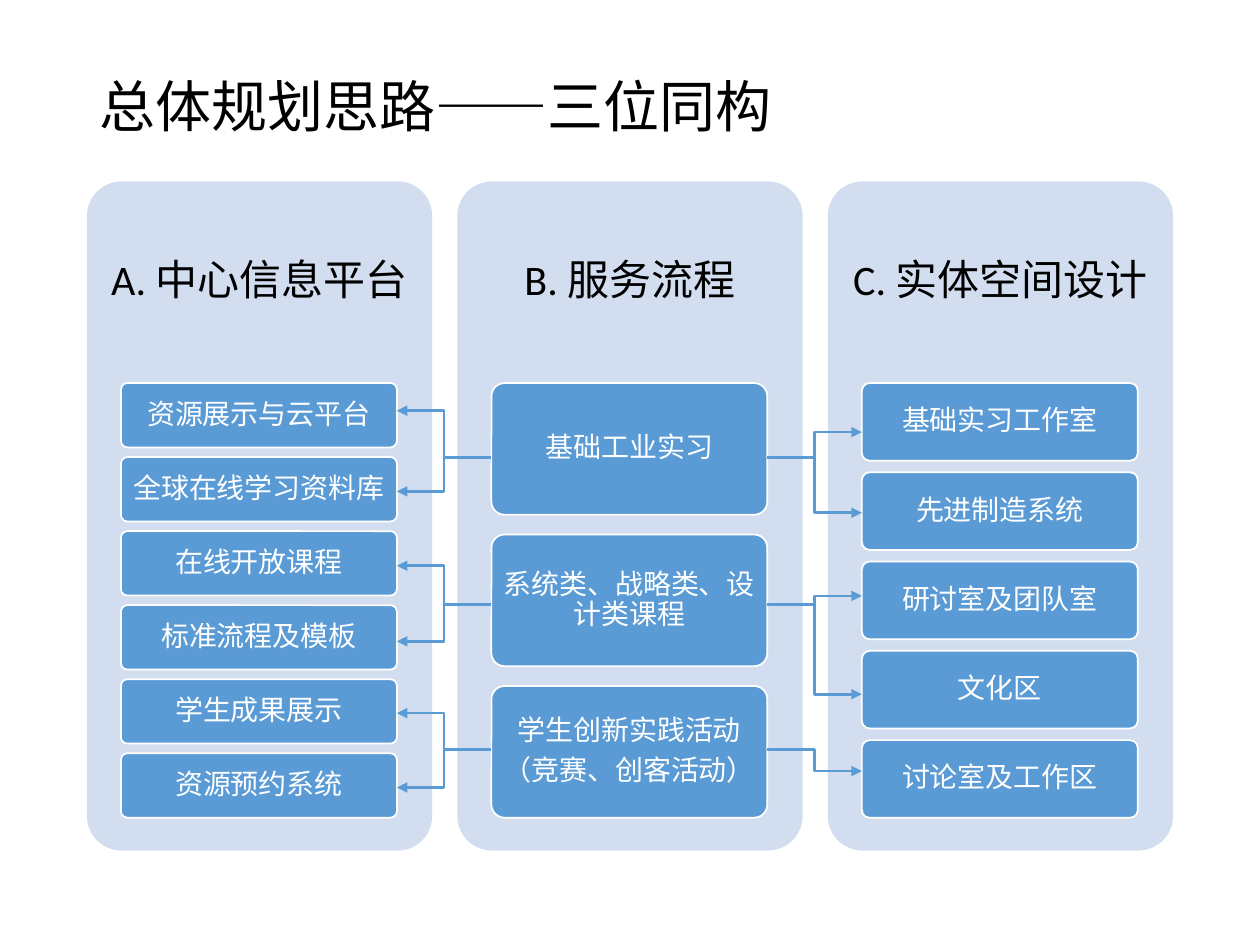
from dataclasses import dataclass

from lxml.etree import SubElement
from pptx import Presentation
from pptx.dml.color import RGBColor
from pptx.enum.lang import MSO_LANGUAGE_ID as LANG
from pptx.enum.shapes import MSO_CONNECTOR as CONN, MSO_SHAPE as SHAPE
from pptx.enum.text import MSO_ANCHOR as ANCHOR, PP_ALIGN as ALIGN
from pptx.oxml.ns import qn
from pptx.util import Inches, Pt


@dataclass(frozen=True)
class Theme:
    font: str = "Calibri"
    ink: RGBColor = RGBColor(0x00, 0x00, 0x00)
    white: RGBColor = RGBColor(0xFF, 0xFF, 0xFF)
    panel: RGBColor = RGBColor(0xD2, 0xDE, 0xEF)
    accent: RGBColor = RGBColor(0x5B, 0x9B, 0xD5)
    title: int = 32
    heading: int = 24
    body: int = 16


class Deck:
    def __init__(self, slide, theme):
        self.s = slide
        self.theme = theme

    def set_text(self, sp, lines, size, color, align, margins, space_after=0.0):
        """Give a shape one paragraph per line; space_after is a share of the type size."""
        tf = sp.text_frame
        tf.word_wrap = True
        tf.vertical_anchor = ANCHOR.MIDDLE
        tf.margin_left = tf.margin_right = Inches(margins[0])
        tf.margin_top = tf.margin_bottom = Inches(margins[1])
        for i, line in enumerate(lines):
            p = tf.add_paragraph() if i else tf.paragraphs[0]
            p.alignment = align
            p.line_spacing = 0.9
            p.space_after = Pt(size * space_after)
            r = p.add_run()
            r.text = line
            r.font.name = self.theme.font
            r.font.size = Pt(size)
            r.font.color.rgb = color
            r.font.language_id = LANG.SIMPLIFIED_CHINESE

    def round_rect(self, x, y, w, h, fill):
        sp = self.s.shapes.add_shape(
            SHAPE.ROUNDED_RECTANGLE, Inches(x), Inches(y), Inches(w), Inches(h))
        sp.adjustments[0] = 0.1
        sp.shadow.inherit = False
        sp.fill.solid()
        sp.fill.fore_color.rgb = fill
        sp.line.fill.background()
        return sp

    def text_box(self, x, y, w, h):
        return self.s.shapes.add_textbox(Inches(x), Inches(y), Inches(w), Inches(h))

    def title(self, text):
        sp = self.text_box(PANEL_LEFT, 0.4, 8.62, 0.94)
        self.set_text(sp, [text], self.theme.title, self.theme.ink, ALIGN.LEFT, (0.1, 0.05))

    def panel(self, x, heading):
        self.round_rect(x, PANEL_TOP, PANEL_W, PANEL_H, self.theme.panel)
        sp = self.text_box(x, PANEL_TOP, PANEL_W, 1.59)
        self.set_text(sp, [heading], self.theme.heading, self.theme.ink,
                      ALIGN.CENTER, (0.1, 0.1), 0.35)

    def item(self, x, y, h, lines):
        sp = self.round_rect(x, y, ITEM_W, h, self.theme.accent)
        sp.line.color.rgb = self.theme.white
        sp.line.width = Pt(1)
        self.set_text(sp, lines, self.theme.body, self.theme.white,
                      ALIGN.CENTER, (0.06, 0.05), 0.35)

    def elbow_arrow(self, x1, y1, x2, y2):
        c = self.s.shapes.add_connector(
            CONN.ELBOW, Inches(x1), Inches(y1), Inches(x2), Inches(y2))
        c.line.color.rgb = self.theme.accent
        c.line.width = Pt(1.5)
        props = c._element.spPr
        SubElement(props.find(qn("a:ln")), qn("a:tailEnd"), type="triangle")
        SubElement(props, qn("a:effectLst"))


PANEL_LEFT, PANEL_TOP, PANEL_W, PANEL_H = 0.69, 1.44, 2.74, 5.31
PANEL_STEP = 2.94
ITEM_INDENT, ITEM_W = 0.27, 2.19
ITEMS_TOP, ITEMS_H = 3.04, 3.45
GAP_RATIO = 0.15  # gap between items as a share of their height
ARROW_LEN = 0.75

COLUMNS = [
    ("A. 中心信息平台", [
        ["资源展示与云平台"], ["全球在线学习资料库"], ["在线开放课程"],
        ["标准流程及模板"], ["学生成果展示"], ["资源预约系统"]]),
    ("B. 服务流程", [
        ["基础工业实习"], ["系统类、战略类、设计类课程"],
        ["学生创新实践活动", "（竞赛、创客活动）"]]),
    ("C. 实体空间设计", [
        ["基础实习工作室"], ["先进制造系统"], ["研讨室及团队室"],
        ["文化区"], ["讨论室及工作区"]]),
]

# start height, end heights on the left, end heights on the right
LINKS = [
    (3.63, [3.26, 3.9], [3.43, 4.07]),
    (4.8, [4.49, 5.09], [4.73, 5.51]),
    (5.95, [5.66, 6.25], [6.12]),
]


def main():
    prs = Presentation()
    prs.slide_width, prs.slide_height = Inches(10), Inches(7.5)
    deck = Deck(prs.slides.add_slide(prs.slide_layouts[6]), Theme())

    deck.title("总体规划思路——三位同构")
    for col, (heading, items) in enumerate(COLUMNS):
        x = PANEL_LEFT + col * PANEL_STEP
        deck.panel(x, heading)
        n = len(items)
        h = ITEMS_H / (n + GAP_RATIO * (n - 1))
        for row, lines in enumerate(items):
            deck.item(x + ITEM_INDENT, ITEMS_TOP + row * h * (1 + GAP_RATIO), h, lines)

    left = PANEL_LEFT + PANEL_STEP + ITEM_INDENT
    right = left + ITEM_W
    for y, left_ends, right_ends in LINKS:
        for end in left_ends:
            deck.elbow_arrow(left, y, left - ARROW_LEN, end)
        for end in right_ends:
            deck.elbow_arrow(right, y, right + ARROW_LEN, end)

    prs.save("out.pptx")


if __name__ == "__main__":
    main()
